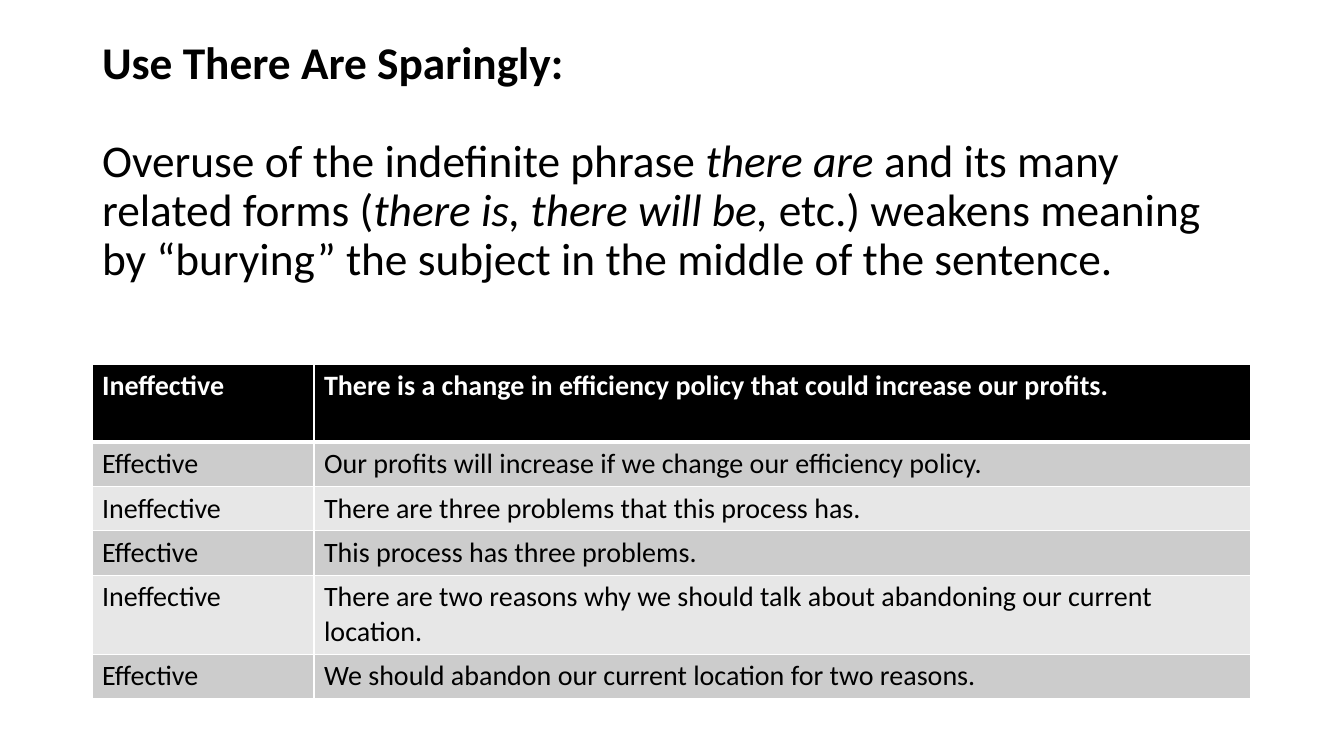
from lxml import etree
from pptx import Presentation
from pptx import util as u
from pptx.dml.color import RGBColor
from pptx.enum import text
from pptx.oxml import ns

BLACK = RGBColor(0x00, 0x00, 0x00)
WHITE = RGBColor(0xFF, 0xFF, 0xFF)
DARK_BAND = RGBColor(0xCC, 0xCC, 0xCC)
LIGHT_BAND = RGBColor(0xE7, 0xE7, 0xE7)
FONT = "Calibri"
EMU_PER_PX = 914400 / 100.8

HEADING = [("Use There Are Sparingly:", {"bold": True})]
ADVICE = [
    ("Overuse of the indefinite phrase ", {}),
    ("there are ", {"italic": True}),
    ("and its many related forms (", {}),
    ("there is, there will be, ", {"italic": True}),
    ("etc.) weakens meaning by “burying” the subject in the middle of the sentence.", {}),
]
EXAMPLES = [
    ("Ineffective", "There is a change in efficiency policy that could increase our profits."),
    ("Effective", "Our profits will increase if we change our efficiency policy."),
    ("Ineffective", "There are three problems that this process has."),
    ("Effective", "This process has three problems."),
    ("Ineffective", "There are two reasons why we should talk about abandoning our current location."),
    ("Effective", "We should abandon our current location for two reasons."),
]
COLUMN_WIDTHS = [222, 937]
ROW_HEIGHTS = [78, 44, 44, 44, 79, 44]


def px(length):
    return u.Emu(round(length * EMU_PER_PX))


def set_attributes(target, values):
    for name, value in values.items():
        setattr(target, name, value)


def add_span(para, words, size, color, **style):
    span = para.add_run()
    span.text = words
    values = {"name": FONT, "size": u.Pt(size), "bold": False, "italic": False}
    set_attributes(span.font, {**values, **style})
    span.font.color.rgb = color


def fill_title(box):
    set_attributes(box, {"left": px(92), "top": px(40), "width": px(1159), "height": px(146)})
    frame = box.text_frame
    set_attributes(frame, {
        "word_wrap": True,
        "auto_size": text.MSO_AUTO_SIZE.NONE,
        "vertical_anchor": text.MSO_ANCHOR.TOP,
        "margin_top": 0,
    })
    for para, spans, gap in [(frame.paragraphs[0], HEADING, 0),
                             (frame.add_paragraph(), ADVICE, 49)]:
        set_attributes(para, {
            "alignment": text.PP_ALIGN.LEFT,
            "line_spacing": 0.9,
            "space_before": px(gap),
        })
        for words, style in spans:
            add_span(para, words, 32.4, BLACK, **style)


def add_borders(cell, widths):
    """Draw white cell borders; widths maps each side to points."""
    properties = cell._tc.get_or_add_tcPr()
    for side, width in widths.items():
        line = etree.SubElement(properties, ns.qn(f"a:ln{side}"), w=str(u.Pt(width)))
        fill = etree.SubElement(line, ns.qn("a:solidFill"))
        etree.SubElement(fill, ns.qn("a:srgbClr"), val=str(WHITE))


def fill_cell(cell, words, row):
    is_header = row == 0
    add_borders(cell, {"L": 1, "R": 1, "T": 3 if row == 1 else 1, "B": 3 if is_header else 1})
    cell.fill.solid()
    cell.fill.fore_color.rgb = BLACK if is_header else (LIGHT_BAND, DARK_BAND)[row % 2]
    para = cell.text_frame.paragraphs[0]
    add_span(para, words, 20, WHITE if is_header else BLACK, bold=is_header)


def add_examples(page):
    frame = page.shapes.add_table(len(EXAMPLES), len(COLUMN_WIDTHS), px(92), px(364),
                                  px(sum(COLUMN_WIDTHS)), px(sum(ROW_HEIGHTS)))
    table = frame.table
    for column, width in zip(table.columns, COLUMN_WIDTHS):
        column.width = px(width)
    for row, (height, example) in enumerate(zip(ROW_HEIGHTS, EXAMPLES)):
        table.rows[row].height = px(height)
        for column, words in enumerate(example):
            fill_cell(table.cell(row, column), words, row)


def main():
    deck = Presentation()
    set_attributes(deck, {"slide_width": px(1344), "slide_height": px(756)})
    page = deck.slides.add_slide(deck.slide_layouts[5])
    fill_title(page.shapes.title)
    add_examples(page)
    deck.save("out.pptx")


if __name__ == "__main__":
    main()
